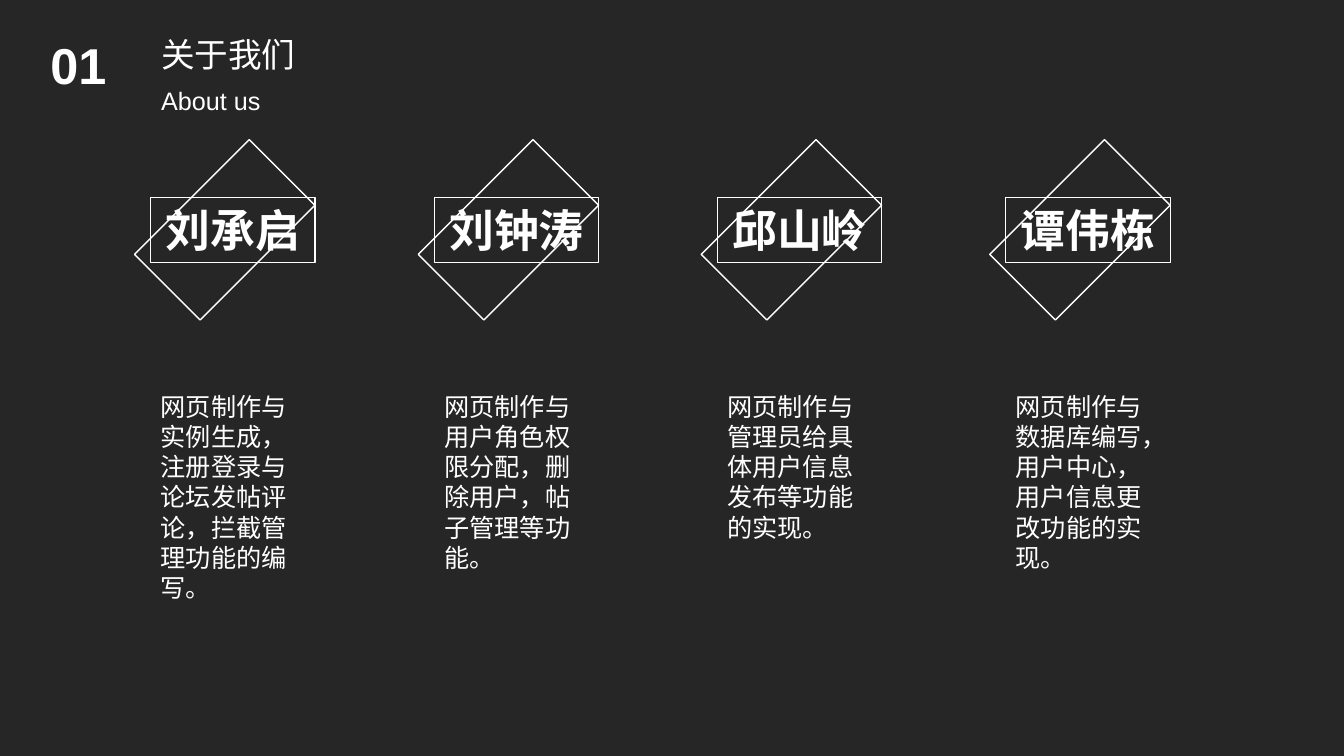
from dataclasses import dataclass

import pptx
import pptx.dml.color
import pptx.enum.shapes
import pptx.enum.text
import pptx.util
from pptx.util import Cm


@dataclass(frozen=True)
class Theme:
    background: str = "262626"
    ink: str = "FFFFFF"
    font: str = "Arial"
    number_size: int = 36
    title_size: int = 24
    body_size: int = 18
    name_size: int = 32
    diamond_line: float = 1
    name_line: float = 0.75


THEME = Theme()
COLUMN_WIDTH = 4.14

# Column left in cm, name, duties, number of text lines
MEMBERS = [
    (3.8, "刘承启", "网页制作与实例生成，注册登录与论坛发帖评论，拦截管理功能的编写。", 7),
    (10.95, "刘钟涛", "网页制作与用户角色权限分配，删除用户，帖子管理等功能。", 6),
    (18.08, "邱山岭", "网页制作与管理员给具体用户信息发布等功能的实现。", 5),
    (25.35, "谭伟栋", "网页制作与数据库编写，用户中心，用户信息更改功能的实现。", 6),
]


def color(value):
    return pptx.dml.color.RGBColor.from_string(value)


def write(shape, text, size, bold=False, align=pptx.enum.text.PP_ALIGN.LEFT):
    frame = shape.text_frame
    frame.word_wrap = True
    frame.auto_size = pptx.enum.text.MSO_AUTO_SIZE.SHAPE_TO_FIT_TEXT
    para = frame.paragraphs[0]
    para.alignment = align
    span = para.add_run()
    span.text = text
    span.font.name = THEME.font
    span.font.size = pptx.util.Pt(size)
    span.font.bold = bold
    span.font.color.rgb = color(THEME.ink)


def add_text(page, left, top, width, height, text, size, bold=False):
    box = page.shapes.add_textbox(Cm(left), Cm(top), Cm(width), Cm(height))
    write(box, text, size, bold)


def add_outline(group, left, top, width, height, line_width):
    box = group.shapes.add_shape(
        pptx.enum.shapes.MSO_SHAPE.RECTANGLE,
        Cm(left), Cm(top), Cm(width), Cm(height))
    box.shadow.inherit = False
    box.fill.background()
    box.line.color.rgb = color(THEME.ink)
    box.line.width = pptx.util.Pt(line_width)
    return box


def add_name_badge(page, left, name):
    group = page.shapes.add_group_shape()
    tilted = add_outline(group, left - 0.18, 4.62, 4.09, 2.34, THEME.diamond_line)
    tilted.rotation = 315
    plate = add_outline(group, left, 4.98, COLUMN_WIDTH, 1.63, THEME.name_line)
    write(plate, name, THEME.name_size, True, pptx.enum.text.PP_ALIGN.CENTER)


def add_member(page, left, name, duties, lines):
    add_name_badge(page, left, name)
    add_text(page, left, 9.73, COLUMN_WIDTH, 0.25 + 0.77 * lines,
             duties, THEME.body_size)


def add_heading(page):
    add_text(page, 1.02, 0.74, 2.39, 1.8, "01", THEME.number_size, True)
    add_text(page, 3.81, 0.74, 8.46, 1.27, "关于我们", THEME.title_size)
    add_text(page, 3.81, 2.03, 10.08, 1.02, "About us", THEME.body_size)


def main():
    deck = pptx.Presentation()
    deck.slide_width = Cm(33.87)
    deck.slide_height = Cm(19.05)
    page = deck.slides.add_slide(deck.slide_layouts[6])
    page.background.fill.solid()
    page.background.fill.fore_color.rgb = color(THEME.background)

    # Section heading
    add_heading(page)

    # Team members
    for member in MEMBERS:
        add_member(page, *member)

    deck.save("out.pptx")


if __name__ == "__main__":
    main()
